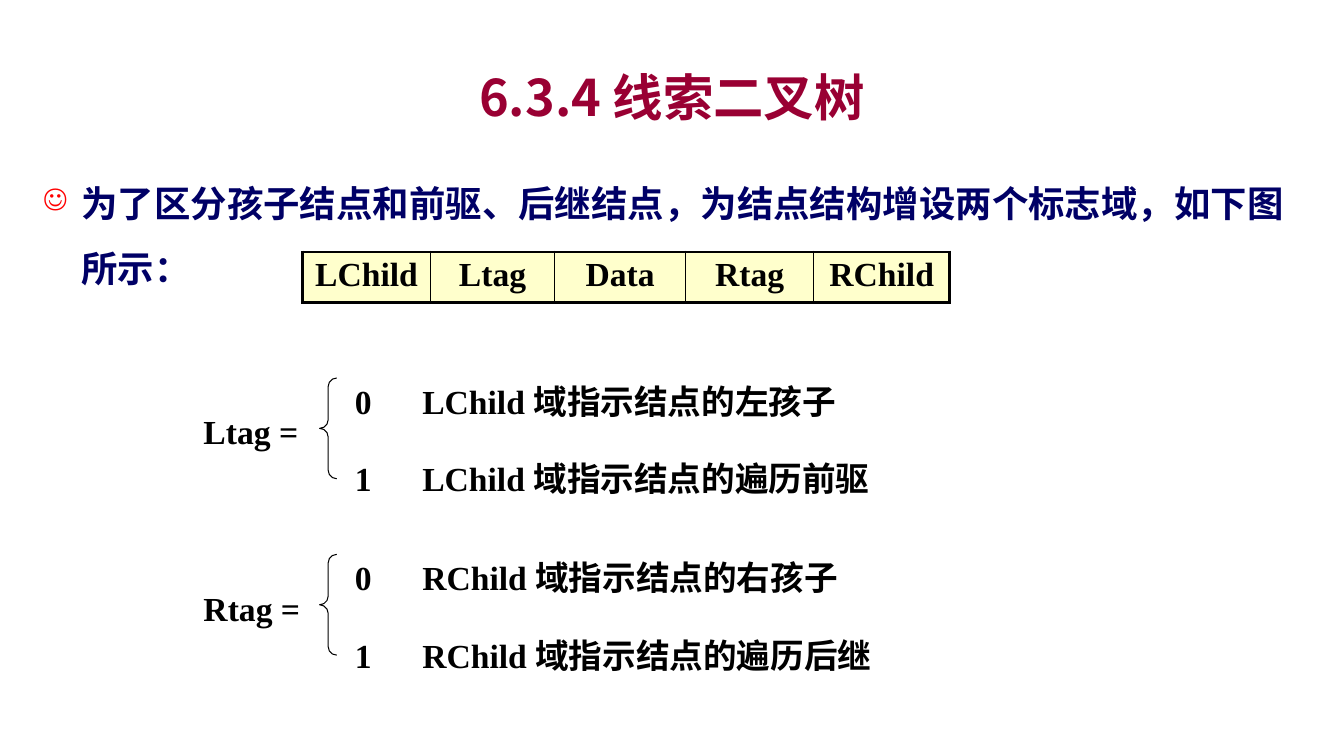
from lxml import etree
from pptx import Presentation
from pptx.dml.color import RGBColor
from pptx.enum import shapes, text
from pptx.oxml import ns
from pptx.util import Inches, Pt

TITLE = "6.3.4 线索二叉树"
INTRO = "为了区分孩子结点和前驱、后继结点，为结点结构增设两个标志域，如下图所示："
FIELDS = [("LChild", 1.27), ("Ltag", 1.23), ("Data", 1.3), ("Rtag", 1.27), ("RChild", 1.35)]
TAGS = [
    ("Ltag =", [("0", "LChild 域指示结点的左孩子"), ("1", "LChild 域指示结点的遍历前驱")]),
    ("Rtag =", [("0", "RChild 域指示结点的右孩子"), ("1", "RChild 域指示结点的遍历后继")]),
]

CJK_FONT = "Noto Sans CJK SC"
LATIN_FONT = "Times New Roman"
CRIMSON = RGBColor(0x99, 0x00, 0x33)
NAVY = RGBColor(0x00, 0x00, 0x66)
BLACK = RGBColor(0, 0, 0)
CREAM = RGBColor(0xFF, 0xFF, 0xCC)

TAGS_TOP, TAG_PITCH = 3.75, 1.75
THIN, THICK = 1, 2.25


def add_element(parent, tag, **attributes):
    element = etree.SubElement(parent, ns.qn(tag))
    for name, value in attributes.items():
        element.set(name, str(value))
    return element


def add_run(paragraph, wording, size, color=BLACK, font=LATIN_FONT):
    run = paragraph.add_run()
    run.text = wording
    run.font.size = Pt(size)
    run.font.bold = True
    run.font.color.rgb = color
    run.font.name = font
    add_element(run.font._element, "a:ea", typeface=CJK_FONT)


def add_text_frame(slide, left, top, width, height):
    frame = slide.shapes.add_textbox(
        Inches(left), Inches(top), Inches(width), Inches(height)).text_frame
    frame.word_wrap = True
    return frame


def add_title(slide):
    frame = add_text_frame(slide, 1, 0.58, 11.33, 0.75)
    frame.vertical_anchor = text.MSO_ANCHOR.MIDDLE
    paragraph = frame.paragraphs[0]
    paragraph.alignment = text.PP_ALIGN.CENTER
    add_run(paragraph, TITLE, 36, CRIMSON, CJK_FONT)


def add_intro(slide):
    paragraph = add_text_frame(slide, 0.33, 1.54, 12.56, 1.25).paragraphs[0]
    paragraph.line_spacing = Pt(46.4)
    properties = paragraph._p.get_or_add_pPr()
    properties.set("marL", str(Inches(0.38)))
    properties.set("indent", str(Inches(-0.38)))
    bullet_color = add_element(properties, "a:buClr")
    add_element(bullet_color, "a:srgbClr", val="FF0000")
    add_element(properties, "a:buSzPct", val=80000)
    add_element(properties, "a:buChar", char="☺")
    add_run(paragraph, INTRO, 26, NAVY, CJK_FONT)


def set_borders(cell, **widths):
    properties = cell._tc.get_or_add_tcPr()
    for position, (side, width) in enumerate(widths.items()):
        line = etree.Element(ns.qn(f"a:ln{side}"), w=str(Pt(width)))
        fill = add_element(line, "a:solidFill")
        add_element(fill, "a:srgbClr", val=str(BLACK))
        properties.insert(position, line)


def add_node_table(slide):
    total = sum(width for _, width in FIELDS)
    table = slide.shapes.add_table(
        1, len(FIELDS), Inches(3), Inches(2.5), Inches(total), Inches(0.47)).table
    last = len(FIELDS) - 1
    for index, (name, width) in enumerate(FIELDS):
        table.columns[index].width = Inches(width)
        cell = table.cell(0, index)
        cell.fill.solid()
        cell.fill.fore_color.rgb = CREAM
        set_borders(cell, L=THICK if index == 0 else THIN,
                    R=THICK if index == last else THIN, T=THICK, B=THICK)
        paragraph = cell.text_frame.paragraphs[0]
        paragraph.alignment = text.PP_ALIGN.CENTER
        add_run(paragraph, name, 24)


def add_tag_rule(slide, top, label, cases):
    """Draw a tag name, its brace and the meaning of each tag value."""
    label_frame = add_text_frame(slide, 1.92, top + 0.28, 1.33, 0.5)
    add_run(label_frame.paragraphs[0], label, 24)

    brace = slide.shapes.add_shape(
        shapes.MSO_SHAPE.LEFT_BRACE, Inches(3.17), Inches(top), Inches(0.17), Inches(1))
    brace.adjustments[0] = 0.5
    brace.shadow.inherit = False
    brace.fill.background()
    brace.line.color.rgb = BLACK
    brace.line.width = Pt(0.75)

    frame = add_text_frame(slide, 3.42, top - 0.22, 6.08, 1.42)
    for index, (value, meaning) in enumerate(cases):
        paragraph = frame.add_paragraph() if index else frame.paragraphs[0]
        paragraph.line_spacing = Pt(43.2)
        if index:
            paragraph.space_before = Pt(12)
        tabs = add_element(paragraph._p.get_or_add_pPr(), "a:tabLst")
        add_element(tabs, "a:tab", pos=Inches(0.67), algn="l")
        add_run(paragraph, f"{value}\t{meaning}", 24)


def main():
    presentation = Presentation()
    presentation.slide_width = Inches(13.33)
    presentation.slide_height = Inches(7.5)
    slide = presentation.slides.add_slide(presentation.slide_layouts[6])
    add_title(slide)
    add_intro(slide)
    add_node_table(slide)
    for index, (label, cases) in enumerate(TAGS):
        add_tag_rule(slide, TAGS_TOP + index * TAG_PITCH, label, cases)
    presentation.save("out.pptx")


if __name__ == "__main__":
    main()
